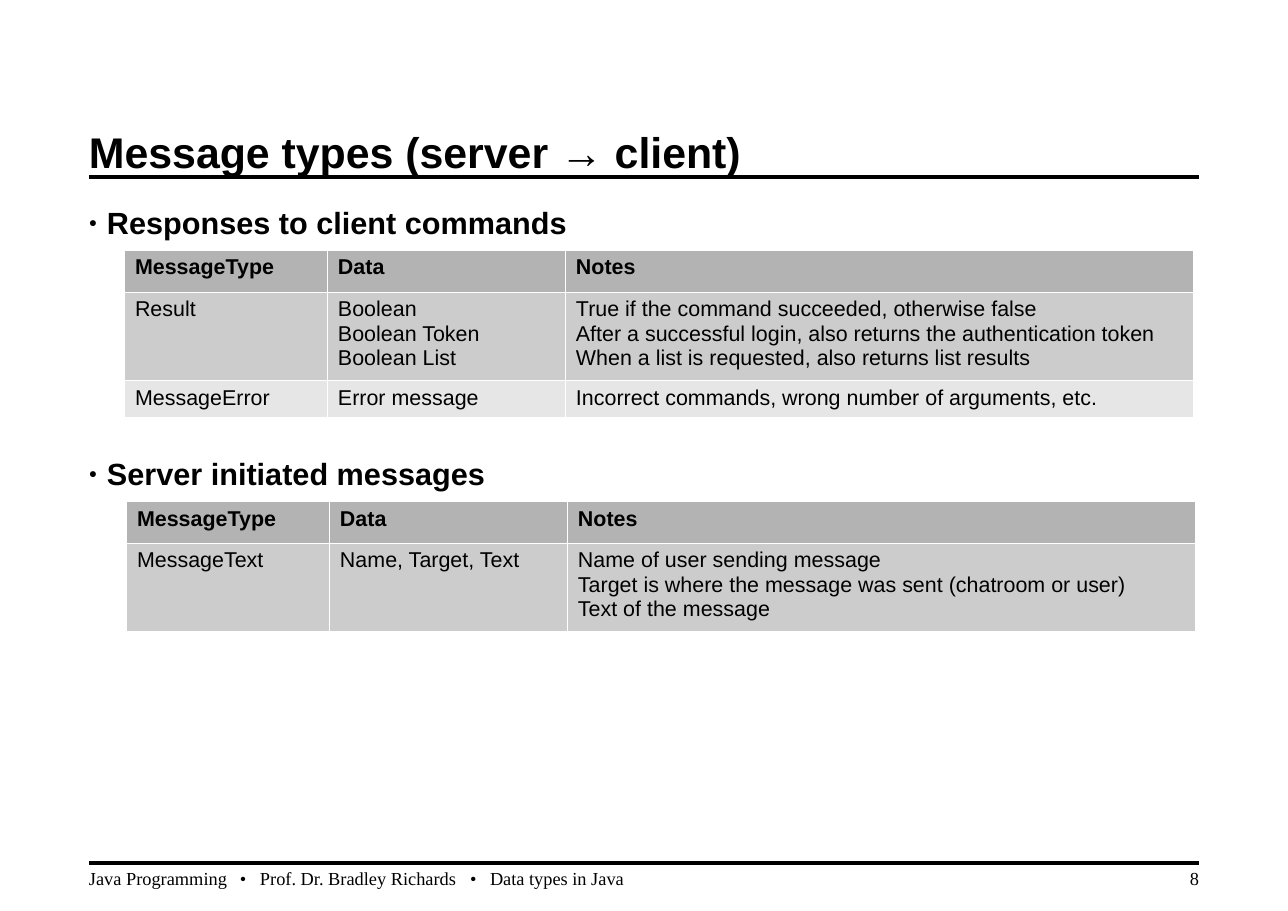
from lxml import etree
from pptx import Presentation
from pptx.dml.color import RGBColor
from pptx.enum.shapes import MSO_CONNECTOR
from pptx.enum.text import MSO_ANCHOR, PP_ALIGN
from pptx.oxml.ns import qn
from pptx.util import Pt

LINE = MSO_CONNECTOR.STRAIGHT
TOP, MID, LOW = MSO_ANCHOR.TOP, MSO_ANCHOR.MIDDLE, MSO_ANCHOR.BOTTOM
LEFT, RIGHT = PP_ALIGN.LEFT, PP_ALIGN.RIGHT
BLACK = RGBColor(0, 0, 0)
HEAD = RGBColor(0xB3, 0xB3, 0xB3)
BANDS = [RGBColor(0xCC, 0xCC, 0xCC), RGBColor(0xE6, 0xE6, 0xE6)]
SCALE = 914400 / 110.2
SANS, SERIF = "Arial", "Times New Roman"
COLS = [203, 238, 628]
HEADER = ["MessageType", "Data", "Notes"]
REPLIES = [
    ["Result", "Boolean\nBoolean Token\nBoolean List",
     "True if the command succeeded, otherwise false\n"
     "After a successful login, also returns the authentication token\n"
     "When a list is requested, also returns list results"],
    ["MessageError", "Error message",
     "Incorrect commands, wrong number of arguments, etc."],
]
EVENTS = [
    ["MessageText", "Name, Target, Text",
     "Name of user sending message\n"
     "Target is where the message was sent (chatroom or user)\n"
     "Text of the message"],
]


def px(num):
    return round(num * SCALE)


def add(parent, tag, **attrs):
    node = etree.SubElement(parent, qn(tag))
    for key, val in attrs.items():
        node.set(key, str(val))
    return node


def write(frame, text, size=14, font=SANS, bold=False, align=LEFT):
    frame.word_wrap = True
    for num, line in enumerate(text.split("\n")):
        para = frame.add_paragraph() if num else frame.paragraphs[0]
        para.alignment = align
        run = para.add_run()
        run.text = line
        run.font.size = Pt(size)
        run.font.name = font
        run.font.bold = bold
        run.font.color.rgb = BLACK
    return frame.paragraphs


def label(slide, box, text, anchor=TOP, **form):
    frame = slide.shapes.add_textbox(*map(px, box)).text_frame
    frame.margin_left = frame.margin_right = 0
    frame.margin_top = frame.margin_bottom = 0
    frame.vertical_anchor = anchor
    return write(frame, text, **form)


def rule(slide, left, top, width):
    line = slide.shapes.add_connector(
        LINE, px(left), px(top), px(left + width), px(top))
    line.line.color.rgb = BLACK
    line.line.width = Pt(3)
    add(line._element.spPr, "a:effectLst")


def title(slide, box, text):
    left, top, width, high = box
    label(slide, (left, top, width, high - 2), text, MID, size=28, bold=True)
    rule(slide, left, top + high, width)


def body(slide, box, heads, gaps):
    paras = label(slide, box, "\n".join(heads), size=20, bold=True)
    for para, gap in zip(paras, gaps):
        para.space_before = Pt(gap)
        props = para._p.get_or_add_pPr()
        props.set("marL", str(px(18)))
        props.set("indent", str(-px(18)))
        add(add(props, "a:buClr"), "a:srgbClr", val=BLACK)
        add(props, "a:buSzPct", val=45000)
        add(props, "a:buFont", typeface=SANS)
        add(props, "a:buChar", char="●")


def border(cell):
    props = cell._tc.get_or_add_tcPr()
    for side in "LRTB":
        edge = add(props, "a:ln" + side, w=Pt(0.06))
        add(add(edge, "a:solidFill"), "a:srgbClr", val="FFFFFF")


def grid(slide, left, top, rows, highs):
    data = [HEADER] + rows
    box = map(px, (left, top, sum(COLS), sum(highs)))
    table = slide.shapes.add_table(len(data), len(COLS), *box).table
    for col, width in zip(table.columns, COLS):
        col.width = px(width)
    for num, (row, high) in enumerate(zip(data, highs)):
        table.rows[num].height = px(high)
        for pos, text in enumerate(row):
            cell = table.cell(num, pos)
            border(cell)
            cell.fill.solid()
            cell.fill.fore_color.rgb = BANDS[(num - 1) % 2] if num else HEAD
            write(cell.text_frame, text, bold=num == 0)


def footer(slide, box, parts, page):
    left, top, width, high = box
    rule(slide, left, top, width)
    row = top + 4
    paras = label(slide, (left, row, 903, high), "\t•\t".join(parts), LOW,
                  size=12, font=SERIF)
    tabs = add(paras[0]._p.get_or_add_pPr(), "a:tabLst")
    for stop in (151, 171, 381, 401):
        add(tabs, "a:tab", pos=px(stop), algn="l")
    label(slide, (left + width - 202, row, 202, high), page, LOW,
          size=12, font=SERIF, align=RIGHT)


deck = Presentation()
deck.slide_width, deck.slide_height = px(1288), px(911)
page = deck.slides.add_slide(deck.slide_layouts[6])
title(page, (89, 128, 1110, 49), "Message types (server → client)")
body(page, (89, 204, 1110, 656),
     ["Responses to client commands", "Server initiated messages"], [6, 140])
grid(page, 124, 250, REPLIES, [42, 88, 36])
grid(page, 126, 501, EVENTS, [42, 88])
footer(page, (89, 863, 1110, 22),
       ["Java Programming", "Prof. Dr. Bradley Richards",
        "Data types in Java"], "8")
deck.save("out.pptx")
